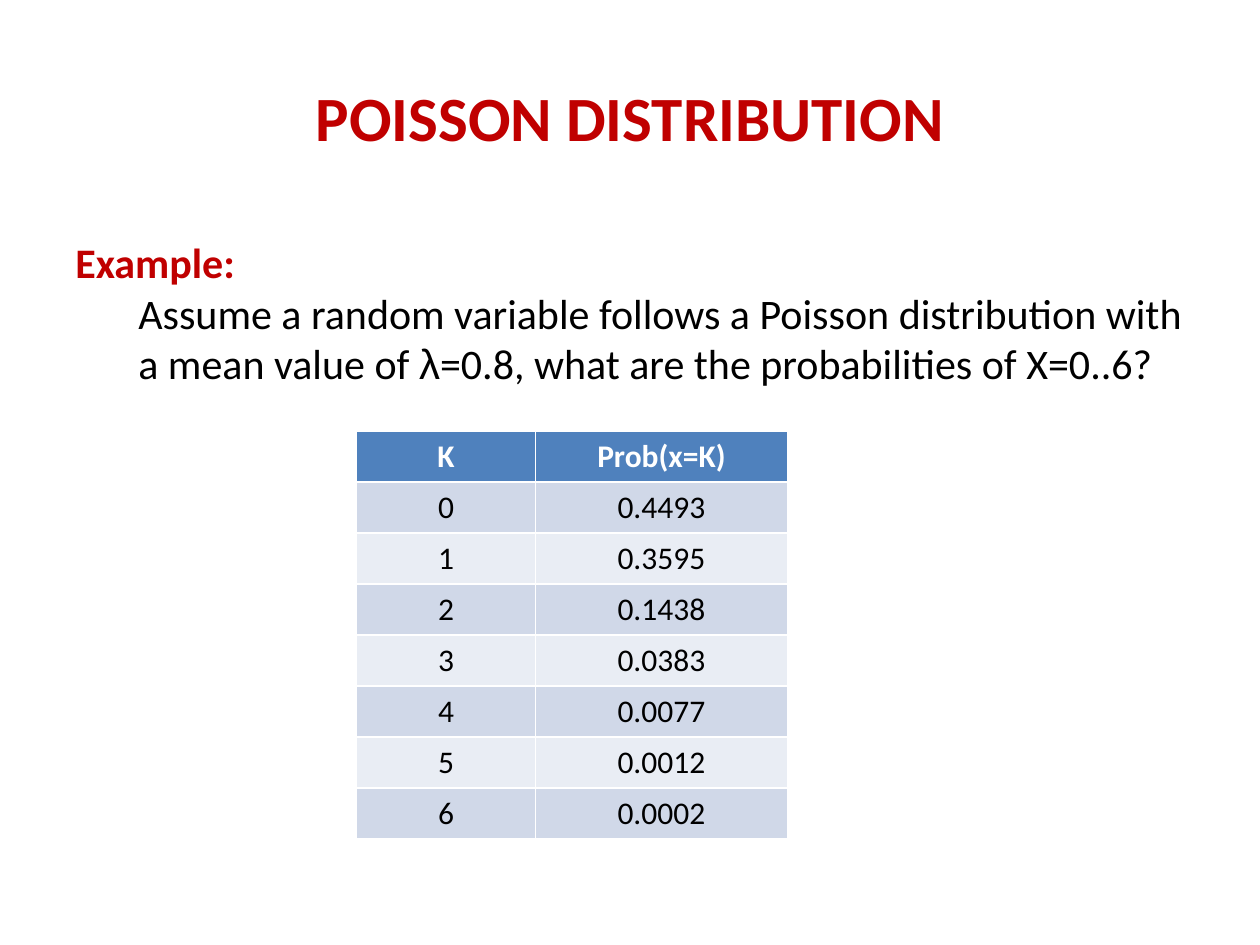
from pptx import Presentation
from pptx.dml.color import RGBColor
from pptx.enum.text import MSO_ANCHOR, MSO_AUTO_SIZE, PP_ALIGN
from pptx.util import Inches, Pt

COLORS = {
    "accent": "C00000",
    "body": "000000",
    "header": "4F81BD",
    "header_text": "FFFFFF",
    "odd_row": "D0D8E8",
    "even_row": "E9EDF4",
}
TITLE = "POISSON DISTRIBUTION"
EXAMPLE = "Example:"
QUESTION = [
    ("Assume a random variable follows a Poisson distribution with a mean value of ", "Calibri"),
    ("λ", "Arial"),
    ("=0.8, what are the probabilities of X=0..6?", "Calibri"),
]
HEADINGS = ("K", "Prob(x=K)")
PROBABILITIES = ["0.4493", "0.3595", "0.1438", "0.0383", "0.0077", "0.0012", "0.0002"]
COLUMN_WIDTHS = (1.42, 2)
TABLE_HEIGHT = 3.24


def add_run(paragraph, text, size, color, bold=False, font="Calibri"):
    run = paragraph.add_run()
    run.text = text
    run.font.size = Pt(size)
    run.font.name = font
    run.font.bold = bold
    run.font.color.rgb = RGBColor.from_string(COLORS[color])


def add_title(slide):
    title = slide.shapes.title
    title.left, title.top, title.width, title.height = map(Inches, (0.5, 0.3, 9, 1.25))
    title.text_frame.vertical_anchor = MSO_ANCHOR.MIDDLE
    heading = title.text_frame.paragraphs[0]
    heading.alignment = PP_ALIGN.CENTER
    add_run(heading, TITLE, 36, "accent", True)


def add_example(slide):
    example = slide.shapes.add_textbox(*map(Inches, (0.5, 1.83, 9, 1.31))).text_frame
    example.word_wrap = True
    example.auto_size = MSO_AUTO_SIZE.SHAPE_TO_FIT_TEXT
    add_run(example.paragraphs[0], EXAMPLE, 24, "accent", True)
    question = example.add_paragraph()
    question.level = 1
    indent = question._p.get_or_add_pPr()
    indent.set("marL", str(Inches(0.5)))
    indent.set("indent", "0")
    for text, font in QUESTION:
        add_run(question, text, 24, "body", font=font)


def add_probabilities(slide):
    rows = [HEADINGS] + [(str(k), value) for k, value in enumerate(PROBABILITIES)]
    table = slide.shapes.add_table(
        len(rows), len(HEADINGS), Inches(2.83), Inches(3.42),
        Inches(sum(COLUMN_WIDTHS)), Inches(TABLE_HEIGHT),
    ).table
    for column, width in zip(table.columns, COLUMN_WIDTHS):
        column.width = Inches(width)
    for r, values in enumerate(rows):
        is_header = r == 0
        fill = "header" if is_header else "odd_row" if r % 2 else "even_row"
        for c, value in enumerate(values):
            cell = table.cell(r, c)
            cell.fill.solid()
            cell.fill.fore_color.rgb = RGBColor.from_string(COLORS[fill])
            entry = cell.text_frame.paragraphs[0]
            entry.alignment = PP_ALIGN.CENTER
            add_run(entry, value, 18, "header_text" if is_header else "body", is_header)


def main():
    """Build the Poisson distribution example slide."""
    presentation = Presentation()
    presentation.slide_width, presentation.slide_height = Inches(10), Inches(7.5)
    slide = presentation.slides.add_slide(presentation.slide_layouts[5])
    add_title(slide)
    add_example(slide)
    add_probabilities(slide)
    presentation.save("out.pptx")


if __name__ == "__main__":
    main()
